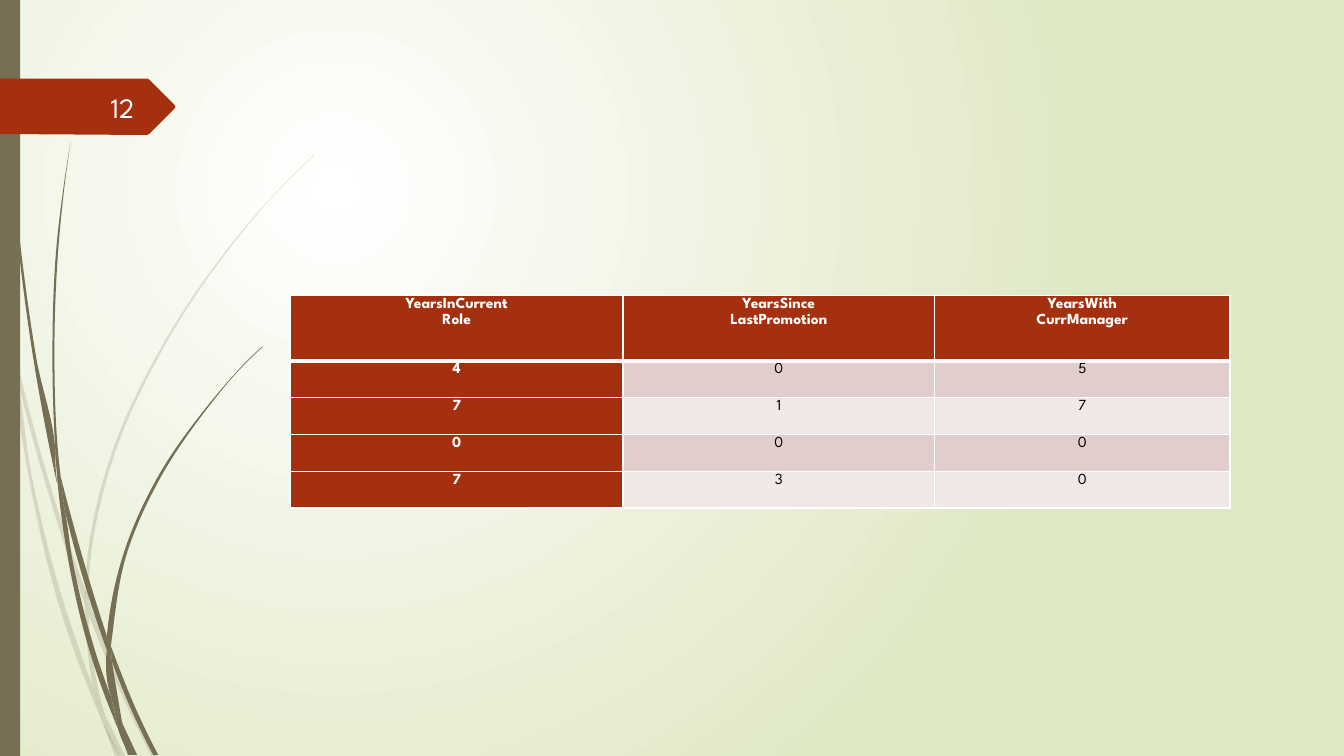
from lxml.etree import SubElement
from pptx import Presentation
from pptx.dml.color import RGBColor
from pptx.enum.shapes import MSO_SHAPE
from pptx.enum.text import MSO_ANCHOR, PP_ALIGN
from pptx.oxml.ns import qn
from pptx.util import Inches, Pt

ROWS = [
    ("YearsInCurrent\nRole", "YearsSince\nLastPromotion", "YearsWith\nCurrManager"),
    ("4", "0", "5"),
    ("7", "1", "7"),
    ("0", "0", "0"),
    ("7", "3", "0"),
]
NUMBER = "12"
FONT = "League Spartan"
WHITE = RGBColor(0xFF, 0xFF, 0xFF)
PEARL = RGBColor(0xFE, 0xFF, 0xFF)
BLACK = RGBColor(0, 0, 0)
GREEN = RGBColor(0xDF, 0xE8, 0xC4)
OLIVE = RGBColor(0x76, 0x6F, 0x54)
RUST = RGBColor(0xA5, 0x30, 0x10)
BANDS = [RGBColor(0xE1, 0xCD, 0xCC), RGBColor(0xF0, 0xE8, 0xE7)]

WIDTHS = [3.3, 3.09, 2.93]
HEIGHT, HEAD = 2.11, 0.65
ROW = (HEIGHT - HEAD) / (len(ROWS) - 1)
PAD = {"margin_left": Inches(0.07), "margin_right": Inches(0.07),
       "margin_top": 0, "margin_bottom": 0}

# Each blade of grass is two smooth edges, joined end to end.
PALE = [
    ([(0.11, 3.5), (0.09, 3.22), (0, 2.82)], [(0, 2.99), (0.1, 3.44), (0.11, 3.5)]),
    ([(0.14, 3.45), (0.62, 5.2), (0.85, 5.86)],
     [(0.84, 5.99), (0.58, 5.22), (0.17, 3.76)]),
    ([(0.88, 5.96), (0.92, 6.07), (1.27, 6.92), (1.55, 7.5)],
     [(1.5, 7.5), (1.23, 6.94), (0.88, 6.1)]),
    ([(1.19, 7.5), (1.24, 7.5)], [(1.05, 7.11)]),
    ([(0.11, 3.5), (0.17, 3.76), (0.31, 4.69), (0.7, 6.19), (0.93, 6.83)],
     [(0.99, 7.07), (1.01, 7.14), (0.92, 6.93), (0.65, 6.21), (0.28, 4.7), (0.11, 3.5)]),
    ([(0.84, 5.99), (0.87, 6.46), (0.93, 6.83), (0.96, 6.92), (1.05, 7.11)],
     [(1.03, 7.06), (0.91, 6.46), (0.88, 6.1), (0.88, 6.08)]),
    ([(0.88, 5.96), (0.88, 5.84), (1.1, 4.62), (1.6, 3.49), (2.29, 2.45), (2.68, 1.98),
      (2.9, 1.75), (3.12, 1.54)],
     [(3.12, 1.53), (2.89, 1.75), (2.68, 1.97), (2.28, 2.44), (1.58, 3.48), (1.07, 4.61),
      (0.85, 5.84), (0.85, 5.86)]),
    ([(1.01, 7.14), (1.14, 7.5)], [(1.19, 7.5)]),
    ([(0.88, 6.08), (0.88, 6.1)], [(0.88, 5.96), (0.85, 5.86), (0.84, 5.99)]),
    ([(0.93, 6.83), (0.99, 7.07), (1.01, 7.14), (1.19, 7.5)],
     [(1.05, 7.11), (0.96, 6.92)]),
]
DARK = [
    ([(0.03, 0), (0.04, 0.48), (0.07, 1.1), (0.17, 2.33), (0.33, 3.55), (0.56, 4.77)],
     [(0.57, 4.81), (0.55, 4.57), (0.55, 4.53), (0.36, 3.55), (0.19, 2.32), (0.08, 1.09),
      (0.05, 0.48), (0.04, 0)]),
    ([(0.6, 4.72), (0.93, 5.9), (1.06, 6.31)],
     [(1.06, 6.45), (0.88, 5.92), (0.64, 5.05)]),
    ([(1.1, 6.41), (1.13, 6.49), (1.36, 7.06), (1.57, 7.49)],
     [(1.52, 7.49), (1.32, 7.08), (1.11, 6.56)]),
    ([(0.57, 4.77), (0.64, 5.05), (0.72, 5.56), (0.98, 6.57), (1.1, 6.91)],
     [(1.16, 7.17), (1.17, 7.22), (1.11, 7.08), (0.93, 6.59), (0.68, 5.57), (0.57, 4.77)]),
    ([(0.6, 4.72), (0.58, 4.53), (0.54, 3.49), (0.58, 2.45), (0.63, 1.93), (0.7, 1.41)],
     [(0.7, 1.41), (0.62, 1.93), (0.56, 2.45), (0.52, 3.49), (0.55, 4.49)]),
    ([(1.33, 7.49), (1.36, 7.49)], [(1.22, 7.19)]),
    ([(0.57, 4.77), (0.64, 5.05)], [(0.6, 4.72), (0.55, 4.49), (0.55, 4.53)]),
    ([(1.1, 6.41), (1.11, 6.33), (1.25, 5.52), (1.58, 4.76), (2.05, 4.06), (2.31, 3.74),
      (2.45, 3.59), (2.61, 3.44)],
     [(2.6, 3.44), (2.45, 3.58), (2.31, 3.73), (2.04, 4.05), (1.56, 4.74), (1.22, 5.51),
      (1.06, 6.31)]),
    ([(1.17, 7.22), (1.27, 7.49)], [(1.31, 7.49)]),
    ([(1.06, 6.45), (1.1, 6.91), (1.16, 7.06), (1.22, 7.19)],
     [(1.21, 7.16), (1.11, 6.56)]),
    ([(1.06, 6.45), (1.11, 6.56)], [(1.1, 6.41), (1.06, 6.31)]),
    ([(1.1, 6.91), (1.16, 7.17), (1.17, 7.22), (1.3, 7.49)],
     [(1.33, 7.49), (1.22, 7.19), (1.16, 7.06)]),
]
BADGE = [(0, 0.78), (1.46, 0.78), (1.48, 0.79), (1.73, 1.04), (1.74, 1.06),
         (1.73, 1.08), (1.48, 1.33), (1.46, 1.34), (0, 1.33)]


def handles(knots):
    """Return the two Bezier handles of each span of a smooth edge."""
    if len(knots) < 3:
        return [None] * (len(knots) - 1)
    knots = [complex(*knot) for knot in knots]
    steps = [b - a for a, b in zip(knots, knots[1:])]
    gaps = [abs(step) for step in steps]
    rates = [step / gap for step, gap in zip(steps, gaps)]
    slopes = [(u * h + v * g) / (g + h)
              for u, v, g, h in zip(rates, rates[1:], gaps, gaps[1:])]
    slopes = [2 * rates[0] - slopes[0], *slopes, 2 * rates[-1] - slopes[-1]]
    return [(knots[i] + slopes[i] * gap / 3, knots[i + 1] - slopes[i + 1] * gap / 3)
            for i, gap in enumerate(gaps)]


def paint(shape, color, alpha=None):
    """Give a shape a plain fill, with no line or shadow."""
    shape.shadow.inherit = False
    shape.fill.solid()
    shape.fill.fore_color.rgb = color
    shape.line.fill.background()
    if alpha:
        tint = shape._element.spPr.find(".//" + qn("a:srgbClr"))
        SubElement(tint, qn("a:alpha"), val=str(alpha * 1000))


def outline(points, color, alpha=None):
    """Draw a closed, filled outline from points in inches."""
    spots = [(Inches(x), Inches(y)) for x, y in points]
    pen = slide.shapes.build_freeform(*spots[0])
    pen.add_line_segments(spots[1:], close=True)
    shape = pen.convert_to_shape()
    paint(shape, color, alpha)
    return shape


def blade(left, right, alpha):
    """Draw a blade of grass, with its edges bent into curves."""
    shape = outline(left + right, OLIVE, alpha)
    lines = list(shape._element.iter(qn("a:lnTo")))
    for line, pair in zip(lines, handles(left) + [None] + handles(right)):
        if pair:
            line.tag = qn("a:cubicBezTo")
            for i, spot in enumerate(pair):
                point = SubElement(line, qn("a:pt"), x=str(Inches(spot.real) - shape.left),
                                   y=str(Inches(spot.imag) - shape.top))
                line.insert(i, point)


def write(frame, text, align, size, color, bold=False, space=None):
    """Write each line of the text as a paragraph."""
    frame.text = text
    for para in frame.paragraphs:
        para.alignment = align
        para.line_spacing = space
        font = para.runs[0].font
        font.color.rgb = color
        for key, value in {"name": FONT, "size": Pt(size), "bold": bold}.items():
            setattr(font, key, value)


def border(cell, row):
    """Rule a cell in white, with a thick line under the header."""
    props = cell._tc.get_or_add_tcPr()
    for side in "LRTB":
        thick = (row, side) in ((0, "B"), (1, "T"))
        line = SubElement(props, qn("a:ln" + side), w=str(Pt(3 if thick else 1)))
        fill = SubElement(line, qn("a:solidFill"))
        SubElement(fill, qn("a:srgbClr"), val=str(WHITE))


deck = Presentation()
deck.slide_width, deck.slide_height = Inches(13.33), Inches(7.5)
slide = deck.slides.add_slide(deck.slide_layouts[6])

back = slide.background.fill
back.gradient()
for stop, color, place in zip(back.gradient_stops, (WHITE, GREEN), (0, 1)):
    stop.color.rgb, stop.position = color, place
grad = slide._element.find(".//" + qn("a:gradFill"))
grad.remove(grad.find(qn("a:lin")))
glow = SubElement(grad, qn("a:path"), path="circle")
SubElement(glow, qn("a:fillToRect"), l="50000", t="50000", r="100000", b="100000")

for blades, alpha in ((PALE, 20), (DARK, None)):
    for left, right in blades:
        blade(left, right, alpha)
bar = slide.shapes.add_shape(MSO_SHAPE.RECTANGLE, 0, 0, Inches(0.2), deck.slide_height)
paint(bar, OLIVE)
outline(BADGE, RUST)

table = slide.shapes.add_table(len(ROWS), len(WIDTHS), Inches(2.88), Inches(2.93),
                               Inches(sum(WIDTHS)), Inches(HEIGHT)).table
for column, width in zip(table.columns, WIDTHS):
    column.width = Inches(width)
for r, texts in enumerate(ROWS):
    table.rows[r].height = Inches(ROW if r else HEAD)
    for c, text in enumerate(texts):
        cell = table.cell(r, c)
        strong = r == 0 or c == 0
        for key, value in PAD.items():
            setattr(cell, key, value)
        border(cell, r)
        cell.fill.solid()
        cell.fill.fore_color.rgb = RUST if strong else BANDS[(r - 1) % 2]
        write(cell.text_frame, text, PP_ALIGN.CENTER, 11,
              WHITE if strong else BLACK, strong, 1.15)

frame = slide.shapes.add_textbox(
    Inches(0.58), Inches(0.86), Inches(0.85), Inches(0.4)).text_frame
frame.word_wrap = True
frame.vertical_anchor = MSO_ANCHOR.MIDDLE
write(frame, NUMBER, PP_ALIGN.RIGHT, 20, PEARL)

deck.save("out.pptx")
